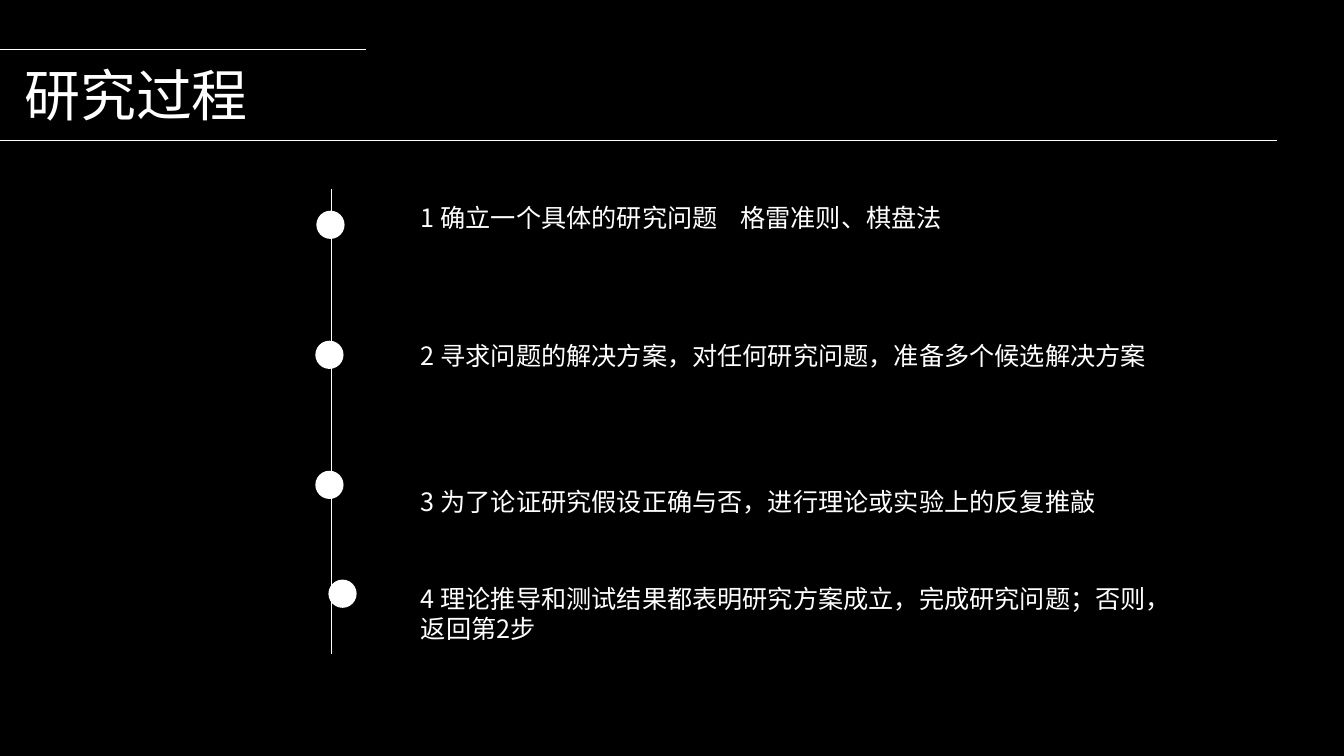
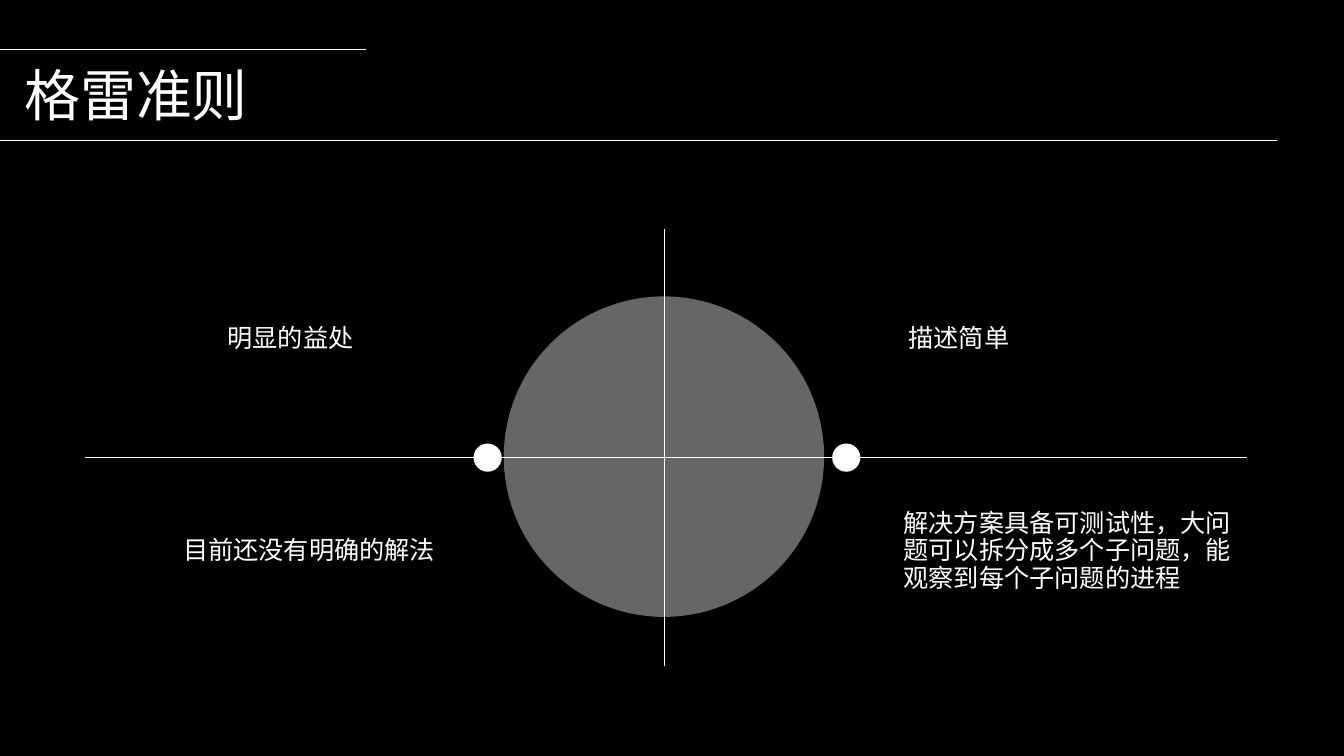
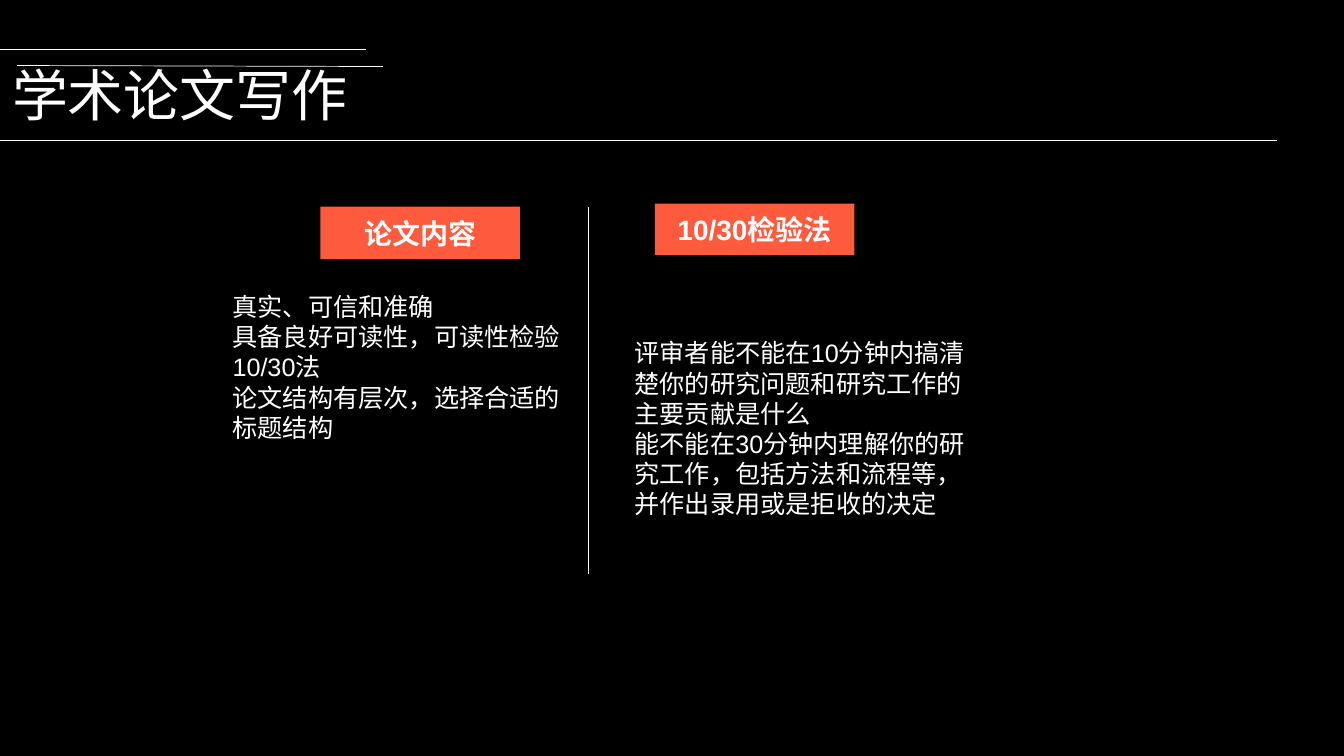
from lxml import etree
from pptx import Presentation
from pptx.dml.color import RGBColor
from pptx.enum.shapes import MSO_CONNECTOR, MSO_SHAPE
from pptx.enum.text import MSO_ANCHOR, PP_ALIGN
from pptx.oxml.ns import qn
from pptx.util import Inches, Pt

BLACK = RGBColor(0x00, 0x00, 0x00)
WHITE = RGBColor(0xFF, 0xFF, 0xFF)
ORANGE = RGBColor(0xFE, 0x5A, 0x3E)
OVAL, RECT = MSO_SHAPE.OVAL, MSO_SHAPE.RECTANGLE
LEFT, CENTER = PP_ALIGN.LEFT, PP_ALIGN.CENTER
CJK_FONT = "Noto Sans CJK SC"
DOT = 0.28


def add_shape(s, kind, at, fill):
    sp = s.shapes.add_shape(kind, *map(Inches, at))
    sp.shadow.inherit = False
    sp.fill.solid()
    sp.fill.fore_color.rgb = fill
    sp.line.fill.background()
    return sp


def write(sp, text, size=18, font="Calibri", bold=False, align=LEFT,
          wrap=True, spacing=1.0, tab=None):
    """Put text into a shape, one paragraph per line."""
    tf = sp.text_frame
    tf.word_wrap = wrap
    for i, line in enumerate(text.split("\n")):
        p = tf.paragraphs[0] if i == 0 else tf.add_paragraph()
        p.alignment = align
        p.line_spacing = spacing
        if tab:
            tabs = etree.SubElement(p._p.get_or_add_pPr(), qn("a:tabLst"))
            etree.SubElement(tabs, qn("a:tab"), pos=str(Inches(tab)), algn="l")
        r = p.add_run()
        r.text = line
        r.font.size = Pt(size)
        r.font.bold = bold
        r.font.name = font
        r.font.color.rgb = WHITE
        ea = etree.SubElement(r._r.get_or_add_rPr(), qn("a:ea"))
        ea.set("typeface", CJK_FONT)


prs = Presentation()
prs.slide_width, prs.slide_height = Inches(13.34), Inches(7.5)

# Slides with their titles
titles = [("研究过程", 0.14, 2.42), ("格雷准则", 0.14, 2.42), ("学术论文写作", 0.02, 3.53)]
for title, left, width in titles:
    s = prs.slides.add_slide(prs.slide_layouts[6])
    s.background.fill.solid()
    s.background.fill.fore_color.rgb = BLACK
    box = s.shapes.add_textbox(Inches(left), Inches(0.55), Inches(width), Inches(0.77))
    write(box, title, size=40, align=CENTER, wrap=False)
process, criteria, writing = prs.slides

# Translucent disc behind the cross
disc = add_shape(criteria, OVAL, (5, 2.94, 3.18, 3.18), WHITE)
color = disc.fill._xPr.find(qn("a:solidFill"))[0]
etree.SubElement(color, qn("a:alpha"), val="40000")

# Thin lines: the two title rules, then those of each slide
title_rules = [(0, 0.49, 3.63, 0.49), (0, 1.39, 12.68, 1.39)]
slide_lines = [
    (process, [(3.29, 1.88, 3.29, 6.49)]),
    (criteria, [(6.59, 2.27, 6.59, 6.61), (0.84, 4.54, 12.38, 4.54)]),
    (writing, [(5.84, 5.69, 5.84, 2.05), (0.17, 0.65, 3.8, 0.66)]),
]
for s, lines in slide_lines:
    for ends in title_rules + lines:
        c = s.shapes.add_connector(MSO_CONNECTOR.STRAIGHT, *map(Inches, ends))
        c.line.color.rgb = WHITE
        c.line.width = Pt(0.5)
        etree.SubElement(c._element.spPr, qn("a:effectLst"))

# White dots on the lines
dots = [
    (process, [(3.14, 2.09), (3.13, 3.38), (3.13, 4.67), (3.26, 5.75)]),
    (criteria, [(4.7, 4.4), (8.26, 4.4)]),
]
for s, places in dots:
    for x, y in places:
        add_shape(s, OVAL, (x, y, DOT, DOT), WHITE)

# Research steps
steps = [
    (1.96, 0.4, "1 确立一个具体的研究问题\t格雷准则、棋盘法"),
    (3.33, 0.4, "2 寻求问题的解决方案，对任何研究问题，准备多个候选解决方案"),
    (4.78, 0.4, "3 为了论证研究假设正确与否，进行理论或实验上的反复推敲"),
    (5.74, 0.7, "4 理论推导和测试结果都表明研究方案成立，完成研究问题；否则，返回第2步"),
]
for y, height, text in steps:
    box = process.shapes.add_textbox(Inches(4.08), Inches(y), Inches(7.66), Inches(height))
    write(box, text, font=CJK_FONT, tab=3.17 if "\t" in text else None)

# Four criteria around the disc
quadrants = [
    (2.16, 3.18, 0.37, "明显的益处"),
    (1.72, 5.29, 0.37, "目前还没有明确的解法"),
    (8.92, 3.18, 0.37, "描述简单"),
    (8.87, 5.02, 0.91, "解决方案具备可测试性，大问题可以拆分成多个子问题，能观察到每个子问题的进程"),
]
for x, y, height, text in quadrants:
    box = criteria.shapes.add_textbox(Inches(x), Inches(y), Inches(3.48), Inches(height))
    write(box, text, spacing=0.9)

# Two columns, each a banner over its text
columns = [
    ("论文内容", (3.18, 2.05, 1.98, 0.52), (2.21, 2.84, 3.63, 1.6),
     "真实、可信和准确\n具备良好可读性，可读性检验10/30法\n论文结构有层次，选择合适的标题结构"),
    ("10/30检验法", (6.5, 2.02, 1.98, 0.51), (6.2, 3.3, 3.49, 2.2),
     "评审者能不能在10分钟内搞清楚你的研究问题和研究工作的主要贡献是什么\n"
     "能不能在30分钟内理解你的研究工作，包括方法和流程等，并作出录用或是拒收的决定"),
]
for heading, banner_at, body_at, body in columns:
    banner = add_shape(writing, RECT, banner_at, ORANGE)
    banner.text_frame.vertical_anchor = MSO_ANCHOR.MIDDLE
    write(banner, heading, size=20, font="Arial", bold=True, align=CENTER)
    write(writing.shapes.add_textbox(*map(Inches, body_at)), body, font="Arial")

prs.save("out.pptx")
